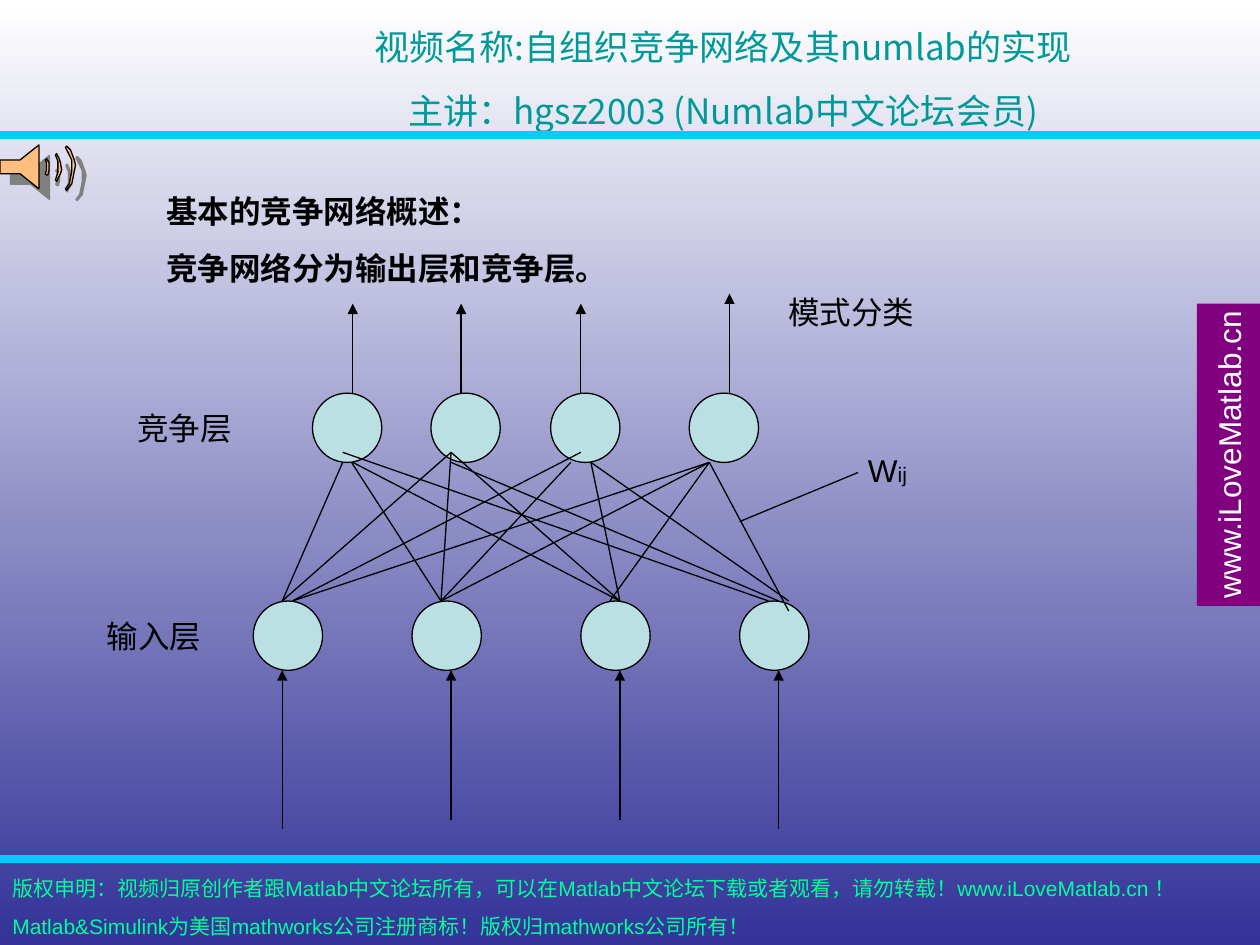
from dataclasses import dataclass
from typing import Any

from lxml import etree
from pptx import Presentation
from pptx import util as u
from pptx.dml import color
from pptx.enum import lang, shapes, text
from pptx.oxml import ns

HUES = {
    "top": "FFFFFF", "base": "333399", "title": "009999", "rule": "00CCFF",
    "foot": "00FF99", "bar": "800080", "node": "BBE0E3", "ink": "000000",
    "horn": "FFBE7D", "shade": "808080",
}
CJK = "Noto Sans CJK SC"
INSETS = {
    "margin_left": u.Inches(0.1), "margin_right": u.Inches(0.1),
    "margin_top": u.Inches(0.05), "margin_bottom": u.Inches(0.05),
    "vertical_anchor": text.MSO_ANCHOR.TOP,
    "auto_size": text.MSO_AUTO_SIZE.NONE,
}


@dataclass
class Look:
    size: float
    hue: str = "ink"
    face: str = "Arial"
    bold: bool = False
    gap: float = 0
    align: Any = text.PP_ALIGN.LEFT


@dataclass
class Line:
    x1: float
    y1: float
    x2: float
    y2: float
    hue: str = "ink"
    width: float = 0.75
    arrow: bool = False


@dataclass
class Label:
    x: float
    y: float
    w: float
    words: str
    sub: str = ""


def rgb(name: str) -> color.RGBColor:
    return color.RGBColor.from_string(HUES[name])


def apply(item: Any, vals: dict) -> None:
    for key, val in vals.items():
        setattr(item, key, val)


def place(item: Any, x: float, y: float, w: float, h: float) -> None:
    names = ("left", "top", "width", "height")
    apply(item, dict(zip(names, map(u.Inches, (x, y, w, h)))))


def add_run(para: Any, words: str, look: Look) -> None:
    run = para.add_run()
    run.text = words
    apply(run.font, {"size": u.Pt(look.size), "bold": look.bold, "name": look.face,
                     "language_id": lang.MSO_LANGUAGE_ID.SIMPLIFIED_CHINESE})
    run.font.color.rgb = rgb(look.hue)


def write(frame: Any, lines: list[str], look: Look, wrap: bool = True) -> None:
    apply(frame, INSETS | {"word_wrap": wrap})
    for i, words in enumerate(lines):
        para = frame.add_paragraph() if i else frame.paragraphs[0]
        apply(para, {"alignment": look.align,
                     "space_before": u.Pt(look.gap if i else 0)})
        add_run(para, words, look)


def paint(shape: Any, fill: str, edge: bool = True) -> None:
    shape.shadow.inherit = False
    shape.fill.solid()
    shape.fill.fore_color.rgb = rgb(fill)
    if edge:
        shape.line.color.rgb = rgb("ink")
        shape.line.width = u.Pt(0.75)
    else:
        shape.line.fill.background()


def draw(page: Any, line: Line) -> None:
    ends = map(u.Inches, (line.x1, line.y1, line.x2, line.y2))
    link = page.shapes.add_connector(shapes.MSO_CONNECTOR.STRAIGHT, *ends)
    link.line.color.rgb = rgb(line.hue)
    link.line.width = u.Pt(line.width)
    if line.arrow:
        etree.SubElement(link.line._get_or_add_ln(), ns.qn("a:tailEnd"), type="triangle")
    etree.SubElement(link._element.spPr, ns.qn("a:effectLst"))


def add_node(page: Any, x: float, y: float) -> None:
    side = u.Inches(0.55)
    node = page.shapes.add_shape(shapes.MSO_SHAPE.OVAL, u.Inches(x), u.Inches(y), side, side)
    paint(node, "node")


def add_label(page: Any, label: Label) -> None:
    box = page.shapes.add_textbox(*map(u.Inches, (label.x, label.y, label.w, 0.4)))
    write(box.text_frame, [label.words], Look(18), wrap=False)
    if label.sub:
        add_run(box.text_frame.paragraphs[0], label.sub, Look(12))


def add_horn(page: Any) -> None:
    # Outlines in hundredths of an inch
    parts = [
        [(0, 127), (16, 127), (31, 115), (31, 150), (16, 138), (0, 138)],
        [(36, 127), (37, 126), (39, 129), (39, 135), (38, 139), (37, 139),
         (36, 138), (37, 135), (37, 129)],
        [(45, 122), (47, 126), (48, 129), (49, 135), (48, 138), (45, 144),
         (44, 143), (46, 137), (46, 128), (44, 123)],
        [(52, 117), (53, 116), (56, 119), (59, 127), (60, 131), (59, 136),
         (57, 146), (53, 151), (52, 150), (55, 146), (57, 136), (57, 127), (55, 123)],
    ]
    pen = page.shapes.build_freeform(*parts[0][0], scale=u.Inches(0.01))
    for i, part in enumerate(parts):
        if i:
            pen.move_to(*part[0])
        pen.add_line_segments(part[1:], close=True)
    horn = pen.convert_to_shape()
    paint(horn, "horn")
    fx = horn._element.spPr.find(ns.qn("a:effectLst"))
    cast = etree.SubElement(fx, ns.qn("a:outerShdw"), dist=str(u.Pt(8.5)),
                            dir="2700000", algn="ctr", rotWithShape="0")
    etree.SubElement(cast, ns.qn("a:srgbClr"), val=HUES["shade"])


def main() -> None:
    deck = Presentation()
    apply(deck, {"slide_width": u.Inches(10), "slide_height": u.Inches(7.5)})
    page = deck.slides.add_slide(deck.slide_layouts[1])

    # Background
    back = page.background.fill
    back.gradient()
    back.gradient_angle = 270
    for stop, hue, pos in zip(back.gradient_stops, ("top", "base"), (0, 1)):
        stop.color.rgb = rgb(hue)
        stop.position = pos

    # Title and overview
    title, body = page.placeholders
    place(title, 1.82, 0.15, 7.84, 0.94)
    write(title.text_frame,
          ["视频名称:自组织竞争网络及其numlab的实现", "主讲：hgsz2003 (Numlab中文论坛会员)"],
          Look(20, "title", CJK, gap=12.5, align=text.PP_ALIGN.CENTER))
    place(body, 1.22, 1.47, 7.88, 3.6)
    write(body.text_frame, ["基本的竞争网络概述：", "竞争网络分为输出层和竞争层。"],
          Look(18, bold=True, gap=11.2))
    for para in body.text_frame.paragraphs:
        props = para._p.get_or_add_pPr()
        for key in ("marL", "indent"):
            props.set(key, "0")
        etree.SubElement(props, ns.qn("a:buNone"))

    # Rules, speaker icon and footer
    for y in (1.07, 6.82):
        draw(page, Line(0, y, 10, y, "rule", 4.5))
    add_horn(page)
    foot = page.shapes.add_textbox(*map(u.Inches, (0, 6.9, 10, 0.61)))
    write(foot.text_frame,
          ["版权申明：视频归原创作者跟Matlab中文论坛所有，可以在Matlab中文论坛下载或者观看，"
           "请勿转载！www.iLoveMatlab.cn ！",
           "Matlab&Simulink为美国mathworks公司注册商标！版权归mathworks公司所有！"],
          Look(12, "foot", gap=7.5))

    # Side bar
    bar = page.shapes.add_shape(shapes.MSO_SHAPE.RECTANGLE,
                                *map(u.Inches, (9.5, 2.41, 0.5, 2.4)))
    paint(bar, "bar", edge=False)
    write(bar.text_frame, ["www.iLoveMatlab.cn"],
          Look(18, "top", align=text.PP_ALIGN.CENTER), wrap=False)
    bar.text_frame.vertical_anchor = text.MSO_ANCHOR.MIDDLE
    bar.text_frame._txBody.bodyPr.set("vert", "vert270")

    # Neurons
    for y, row in ((4.77, (2.01, 3.27, 4.61, 5.87)), (3.12, (2.48, 3.42, 4.37, 5.47))):
        for x in row:
            add_node(page, x, y)

    # Arrows into the input layer and out of the competitive layer
    for x, y in ((2.24, 6.58), (3.58, 6.51), (4.92, 6.51), (6.18, 6.58)):
        draw(page, Line(x, y, x, 5.32, arrow=True))
    for x, y in ((2.8, 2.41), (3.66, 2.41), (4.61, 2.41), (5.79, 2.33)):
        draw(page, Line(x, 3.12, x, y, arrow=True))

    # Weights: start x, end x, end y for each input neuron
    low, high = 3.67, 3.59
    nets = [
        (2.24, 2.72, low), (2.24, 3.58, high), (2.32, 4.61, high), (2.32, 5.63, low),
        (3.5, 2.79, low), (3.5, 3.58, high), (3.5, 4.53, low), (3.5, 5.63, low),
        (4.92, 2.8, low), (4.92, 3.58, high), (4.92, 4.69, low), (4.84, 5.63, low),
        (6.1, 2.72, high), (6.18, 3.58, low), (6.26, 4.69, low),
    ]
    for x1, x2, y2 in nets:
        draw(page, Line(x1, 4.77, x2, y2))
    draw(page, Line(6.26, 4.85, 5.63, low))
    draw(page, Line(5.87, 4.14, 6.81, 3.75))

    # Labels
    for label in (Label(0.75, 4.85, 0.95, "输入层"), Label(0.99, 3.2, 0.95, "竞争层"),
                  Label(6.16, 2.28, 1.2, "模式分类"), Label(6.79, 3.53, 0.51, "W", "ij")):
        add_label(page, label)

    deck.save("out.pptx")


if __name__ == "__main__":
    main()
